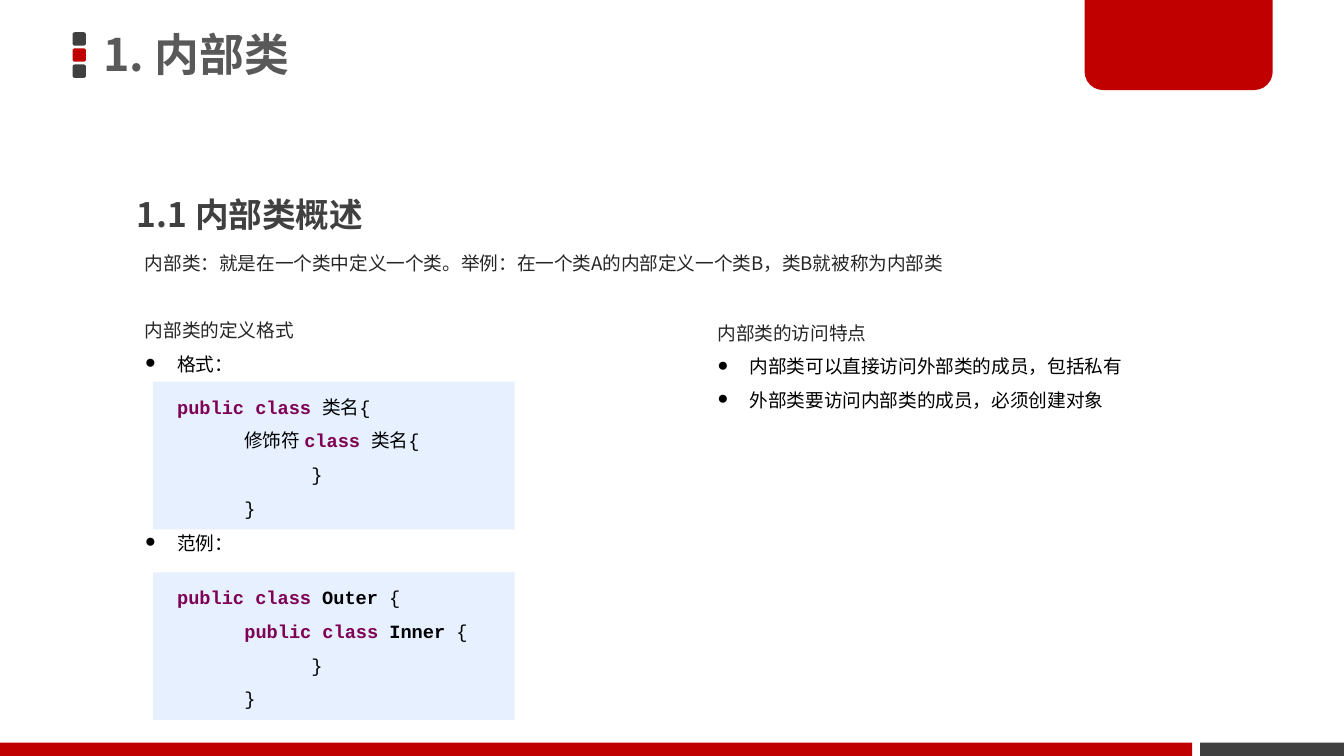
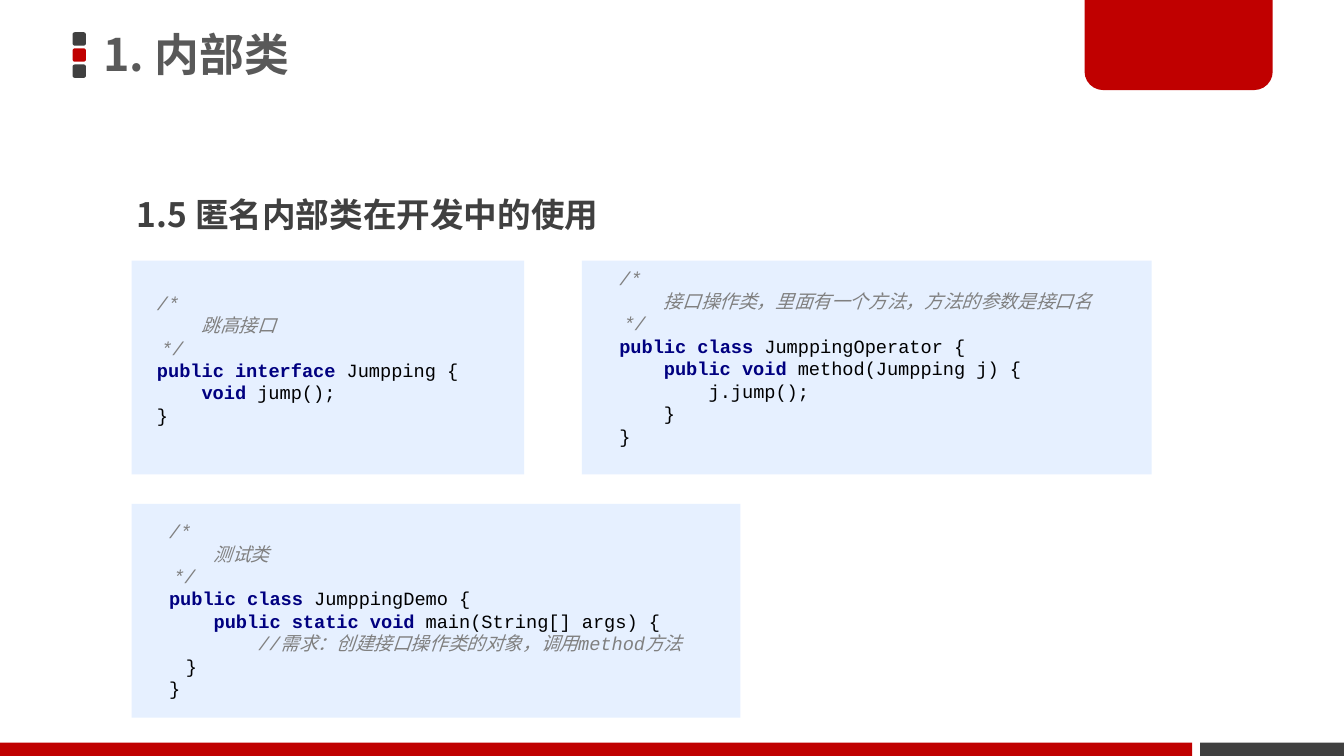
import pptx
import pptx.util
import pptx.dml.color
import pptx.enum.shapes
import pptx.enum.text
import pptx.oxml
import pptx.oxml.ns

WIDTH = 10
HEIGHT = WIDTH * 9 / 16
SANS, MONO = "Noto Sans CJK SC", "Courier New"
COLORS = {
    "red": "C00000", "dark": "404040", "title": "595959", "body": "262626",
    "ink": "000000", "panel": "E6F0FF", "plum": "7F0055", "navy": "000080",
    "gray": "808080",
}
# style: (colour, bold, italic, font)
STYLES = {
    "plain": ("ink", False, False, MONO),
    "name": ("ink", True, False, MONO),
    "han": ("ink", False, False, SANS),
    "plum": ("plum", True, False, MONO),
    "navy": ("navy", True, False, MONO),
    "note": ("gray", False, True, MONO),
}
TITLE = "1. 内部类"
TAIL = [(0.5, [("      }", "plain")]), (0.5, [("}", "plain")])]

# notes: (box, [(text, is bullet, points before)])
# codes: (panel, text box, line spacing, [(indent, runs)])
SLIDES = [
    {
        "head": "1.1 内部类概述",
        "notes": [
            ((0.98, 1.74, 8.58, 2.43), [
                ("内部类：就是在一个类中定义一个类。举例：在一个类A的内部定义一个类B，类B就被称为内部类", False, 0),
                ("内部类的定义格式", False, 18),
                ("格式：", True, 0),
                ("范例：", True, 78),
            ]),
            ((5.24, 2.26, 3.7, 0.85), [
                ("内部类的访问特点", False, 0),
                ("内部类可以直接访问外部类的成员，包括私有", True, 0),
                ("外部类要访问内部类的成员，必须创建对象", True, 0),
            ]),
        ],
        "codes": [
            ((1.14, 2.84, 2.69, 1.1), (1.22, 2.81, 2.61, 1.1), 1.5, [
                (0, [("public class ", "plum"), ("类名", "han"), ("{", "plain")]),
                (0.5, [("修饰符 ", "han"), ("class ", "plum"),
                       ("类名", "han"), ("{", "plain")]),
                *TAIL,
            ]),
            ((1.14, 4.26, 2.69, 1.1), (1.22, 4.23, 2.61, 1.1), 1.5, [
                (0, [("public class", "plum"), (" Outer ", "name"), ("{", "plain")]),
                (0.5, [("public class", "plum"), (" Inner ", "name"), ("{", "plain")]),
                *TAIL,
            ]),
        ],
    },
    {
        "head": "1.5 匿名内部类在开发中的使用",
        "notes": [],
        "codes": [
            ((0.98, 1.94, 2.92, 1.59), (1.07, 2.12, 2.67, 1.1), 1, [(0, [
                ("/*\n    跳高接口\n */\n", "note"),
                ("public interface ", "navy"),
                ("Jumpping {\n    ", "plain"),
                ("void ", "navy"),
                ("jump();\n}", "plain"),
            ])]),
            ((0.98, 3.75, 4.53, 1.59), (1.16, 3.82, 4.82, 1.44), 1, [(0, [
                ("/*\n    测试类\n */\n", "note"),
                ("public class ", "navy"),
                ("JumppingDemo {\n    ", "plain"),
                ("public static void ", "navy"),
                ("main(String[] args) {\n        ", "plain"),
                ("//需求：创建接口操作类的对象，调用method方法\n    ", "note"),
                ("}\n}", "plain"),
            ])]),
            ((4.33, 1.94, 4.24, 1.59), (4.51, 1.94, 4.51, 1.44), 1, [(0, [
                ("/*\n    接口操作类，里面有一个方法，方法的参数是接口名\n */\n", "note"),
                ("public class ", "navy"),
                ("JumppingOperator {\n    ", "plain"),
                ("public void ", "navy"),
                ("method(Jumpping j) {\n        j.jump();\n    }\n}", "plain"),
            ])]),
        ],
    },
]


def rgb(name):
    return pptx.dml.color.RGBColor.from_string(COLORS[name])


def inches(box):
    return [pptx.util.Inches(n) for n in box]


def add_tag(parent, tag, **attrs):
    node = pptx.oxml.parse_xml(f"<a:{tag} {pptx.oxml.ns.nsdecls('a')}/>")
    for key, value in attrs.items():
        node.set(key, value)
    parent.append(node)


def set_font(font, name, color, size=None, bold=None, italic=None):
    """Format a font, naming it for both Latin and Chinese text."""
    font.name = name
    font.color.rgb = rgb(color)
    font.bold, font.italic = bold, italic
    if size:
        font.size = pptx.util.Pt(size)
    add_tag(font._rPr, "ea", typeface=SANS)


def add_block(slide, kind, box, color, corners=()):
    block = slide.shapes.add_shape(
        getattr(pptx.enum.shapes.MSO_SHAPE, kind), *inches(box))
    block.shadow.inherit = False
    block.fill.solid()
    block.fill.fore_color.rgb = rgb(color)
    block.line.fill.background()
    for spot, value in enumerate(corners):
        block.adjustments[spot] = value


def add_box(slide, box):
    frame = slide.shapes.add_textbox(*inches(box)).text_frame
    frame.word_wrap = True
    return frame


def add_paras(frame, items):
    """Yield a paragraph of the frame with each item."""
    for spot, item in enumerate(items):
        yield (frame.add_paragraph() if spot else frame.paragraphs[0]), item


def set_indent(para, left, hang=0):
    props = para._p.get_or_add_pPr()
    props.set("marL", str(pptx.util.Inches(left)))
    props.set("indent", str(-pptx.util.Inches(hang)))
    return props


def add_frame(slide):
    """Add the marks, corner tab, bottom bands and title all slides share."""
    for row, color in enumerate(("dark", "red", "dark")):
        add_block(slide, "ROUNDED_RECTANGLE",
                  (0.54, 0.24 + 0.12 * row, 0.1, 0.1), color, [0.17])
    add_block(slide, "ROUND_2_SAME_RECTANGLE",
              (8.07, -0.02, 1.4, 0.69), "red", [0, 0.2])
    band, gap, split = 0.1, 0.06, 8.87
    top = HEIGHT - band
    add_block(slide, "RECTANGLE", (0, top, split, band), "red")
    add_block(slide, "RECTANGLE",
              (split + gap, top, WIDTH - split - gap, band), "dark")

    title = slide.shapes.title
    title.left, title.top, title.width, title.height = inches((0.69, -0.02, 5.89, 0.89))
    frame = title.text_frame
    frame.text = TITLE
    frame.auto_size = pptx.enum.text.MSO_AUTO_SIZE.NONE
    frame.vertical_anchor = pptx.enum.text.MSO_ANCHOR.MIDDLE
    frame.margin_left = frame.margin_right = pptx.util.Inches(0.08)
    frame.margin_top = frame.margin_bottom = pptx.util.Inches(0.04)
    para = frame.paragraphs[0]
    para.alignment = pptx.enum.text.PP_ALIGN.LEFT
    para.line_spacing = 0.9
    set_font(para.font, SANS, "title", 24, True)


def add_head(slide, text):
    para = add_box(slide, (0.92, 1.24, 3.84, 0.55)).paragraphs[0]
    para.text = text
    para.line_spacing = 1.5
    set_font(para.font, SANS, "dark", 18, True)


def add_notes(slide, box, lines):
    for para, (text, listed, before) in add_paras(add_box(slide, box), lines):
        para.text = text
        para.line_spacing = 1.5
        if before:
            para.space_before = pptx.util.Pt(before)
        if listed:
            props = set_indent(para, 0.24, 0.24)
            add_tag(props, "buFont", typeface=MONO)
            add_tag(props, "buChar", char="●")
        set_font(para.font, SANS, "ink" if listed else "body", 10)


def add_code(slide, panel, box, spacing, lines):
    add_block(slide, "RECTANGLE", panel, "panel")
    for para, (indent, runs) in add_paras(add_box(slide, box), lines):
        para.line_spacing = spacing
        set_indent(para, indent)
        set_font(para.font, MONO, "ink", 10)
        for text, style in runs:
            color, bold, italic, name = STYLES[style]
            for row, part in enumerate(text.split("\n")):
                if row:
                    para.add_line_break()
                if part:
                    run = para.add_run()
                    run.text = part
                    set_font(run.font, name, color, 10, bold, italic)


def main():
    deck = pptx.Presentation()
    deck.slide_width, deck.slide_height = inches((WIDTH, HEIGHT))
    for page in SLIDES:
        slide = deck.slides.add_slide(deck.slide_layouts[5])
        add_frame(slide)
        add_head(slide, page["head"])
        for note in page["notes"]:
            add_notes(slide, *note)
        for code in page["codes"]:
            add_code(slide, *code)
    deck.save("out.pptx")


if __name__ == "__main__":
    main()
